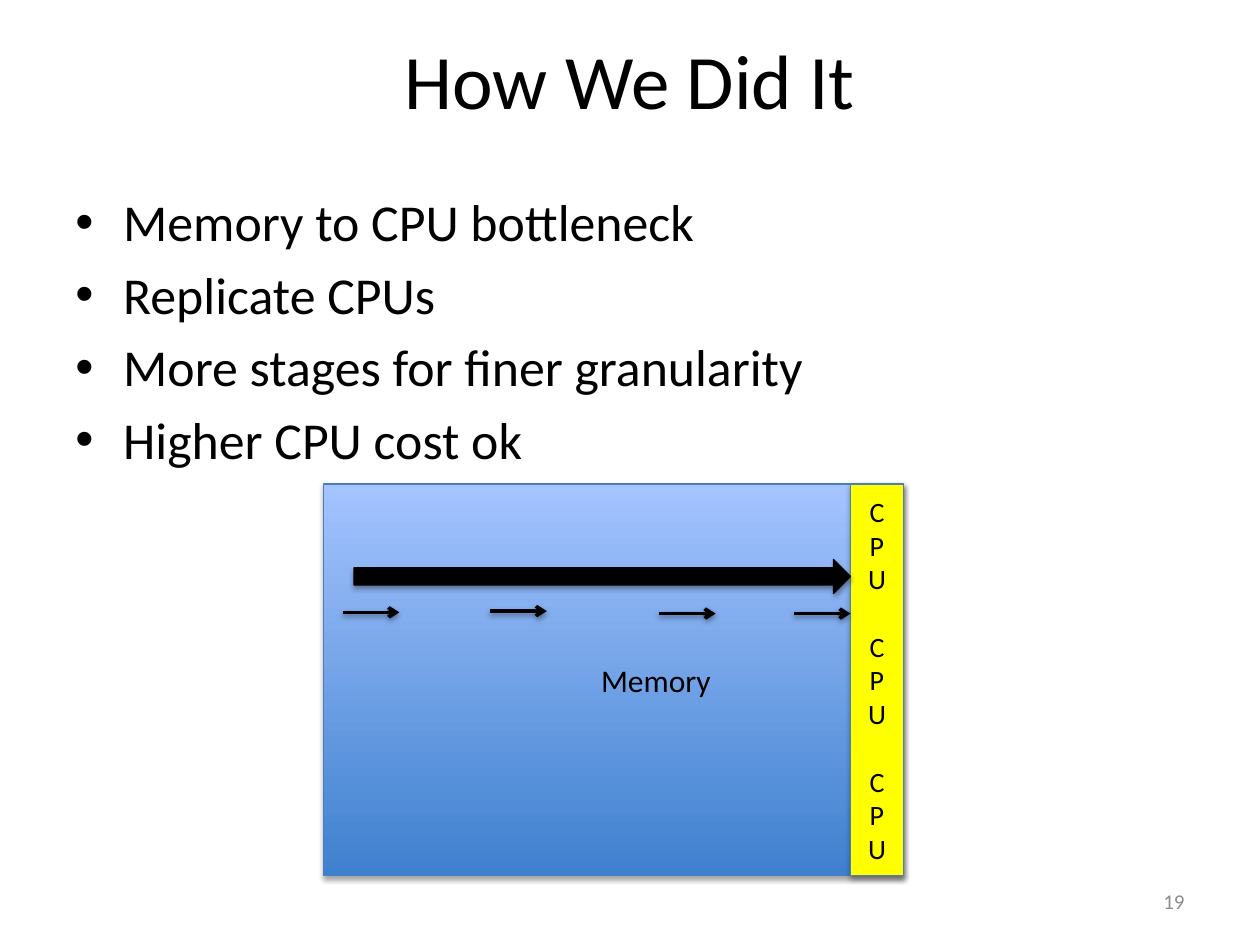
import dataclasses

import lxml.etree
import pptx
import pptx.dml.color
import pptx.enum.shapes
import pptx.enum.text
import pptx.oxml.ns
import pptx.util

Inches = pptx.util.Inches
Pt = pptx.util.Pt
qn = pptx.oxml.ns.qn
SHAPES = pptx.enum.shapes.MSO_SHAPE
ALIGN = pptx.enum.text.PP_ALIGN
ANCHOR = pptx.enum.text.MSO_ANCHOR


@dataclasses.dataclass(frozen=True)
class Theme:
    font: str = "Calibri"
    ink: str = "000000"
    muted: str = "8C8C8C"
    edge: str = "4B7EBC"
    memory_bottom: str = "3F80CE"
    memory_top: str = "A4C4FF"
    cpu: str = "FFFF00"
    title_size: float = 44
    bullet_size: float = 29.6
    label_size: float = 18
    cpu_size: float = 16
    number_size: float = 12


THEME = Theme()


def rgb(value):
    return pptx.dml.color.RGBColor.from_string(value)


def add_element(parent, tag, **attributes):
    return lxml.etree.SubElement(parent, qn(tag), attributes)


def add_shadow(item, opacity, distance):
    effects = add_element(item._element.spPr, "a:effectLst")
    shadow = add_element(effects, "a:outerShdw", blurRad=str(Pt(3.1)),
                         dist=str(Pt(distance)), dir="5400000", rotWithShape="0")
    color = add_element(shadow, "a:srgbClr", val=THEME.ink)
    add_element(color, "a:alpha", val=str(opacity * 1000))


def write(frame, lines, size, align, anchor, color=THEME.ink, gaps=None):
    frame.word_wrap = True
    frame.vertical_anchor = anchor
    for index, line in enumerate(lines):
        para = frame.paragraphs[0] if index == 0 else frame.add_paragraph()
        para.alignment = align
        if gaps:
            para.space_before = Pt(gaps[index])
        span = para.add_run()
        span.text = line
        span.font.name = THEME.font
        span.font.size = Pt(size)
        span.font.color.rgb = rgb(color)
    return frame.paragraphs


def add_text(page, box, lines, size, align, anchor, **style):
    text_box = page.shapes.add_textbox(*map(Inches, box))
    return write(text_box.text_frame, lines, size, align, anchor, **style)


def add_block(page, kind, box, fill, edge):
    block = page.shapes.add_shape(kind, *map(Inches, box))
    if isinstance(fill, tuple):
        block.fill.gradient()
        block.fill.gradient_angle = 90
        for stop, color in zip(block.fill.gradient_stops, fill):
            stop.color.rgb = rgb(color)
    else:
        block.fill.solid()
        block.fill.fore_color.rgb = rgb(fill)
    block.line.color.rgb = rgb(edge)
    block.line.width = Pt(0.75)
    add_shadow(block, 35, 1.8)
    return block


def add_bullets(page, box, lines):
    gap = THEME.bullet_size * 0.2
    paras = add_text(page, box, lines, THEME.bullet_size, ALIGN.LEFT, ANCHOR.TOP,
                     gaps=[gap] * len(lines))
    for para in paras:
        properties = para._p.get_or_add_pPr()
        properties.set("marL", str(Inches(0.38)))
        properties.set("indent", str(-Inches(0.38)))
        add_element(properties, "a:buFont", typeface="Arial")
        add_element(properties, "a:buChar", char="•")


def add_stage_arrow(page, left, top, length):
    arrow = page.shapes.add_connector(
        pptx.enum.shapes.MSO_CONNECTOR.STRAIGHT,
        *map(Inches, (left, top, left + length, top)))
    arrow.line.color.rgb = rgb(THEME.ink)
    arrow.line.width = Pt(2)
    add_element(arrow._element.spPr.find(qn("a:ln")), "a:tailEnd", type="arrow")
    add_shadow(arrow, 38, 1.6)


def add_machine(page, box):
    left, top, width, height = box
    cpu_width = 0.42
    cpu_left = left + width - cpu_width

    memory = add_block(page, SHAPES.RECTANGLE, box,
                       (THEME.memory_bottom, THEME.memory_top), THEME.edge)
    memory.text_frame.margin_left = Inches(0.77)
    write(memory.text_frame, ["Memory"], THEME.label_size, ALIGN.CENTER, ANCHOR.MIDDLE)

    cpu = add_block(page, SHAPES.RECTANGLE, (cpu_left, top, cpu_width, height),
                    THEME.cpu, THEME.edge)
    blank_line = THEME.cpu_size * 1.22
    write(cpu.text_frame, list("CPU" * 3), THEME.cpu_size, ALIGN.CENTER, ANCHOR.MIDDLE,
          gaps=[0, 0, 0] + [blank_line, 0, 0] * 2)

    for offset, drop in ((0.15, 1.02), (1.32, 1.01), (2.66, 1.03), (3.73, 1.03)):
        add_stage_arrow(page, left + offset, top + drop, 0.45)

    bus_left = left + 0.24
    add_block(page, SHAPES.RIGHT_ARROW, (bus_left, top + 0.6, cpu_left - bus_left, 0.27),
              THEME.ink, THEME.ink)


def build_page(deck):
    page = deck.slides.add_slide(deck.slide_layouts[6])
    add_text(page, (0.5, 0, 9, 1.25), ["How We Did It"], THEME.title_size,
             ALIGN.CENTER, ANCHOR.MIDDLE)
    add_bullets(page, (0.5, 1.46, 9, 2.24), [
        "Memory to CPU bottleneck",
        "Replicate CPUs",
        "More stages for finer granularity",
        "Higher CPU cost ok",
    ])
    add_text(page, (7.17, 6.95, 2.33, 0.4), ["19"], THEME.number_size,
             ALIGN.RIGHT, ANCHOR.MIDDLE, color=THEME.muted)
    add_machine(page, (2.57, 3.84, 4.6, 3.11))


deck = pptx.Presentation()
deck.slide_width = Inches(10)
deck.slide_height = Inches(7.5)
build_page(deck)
deck.save("out.pptx")
